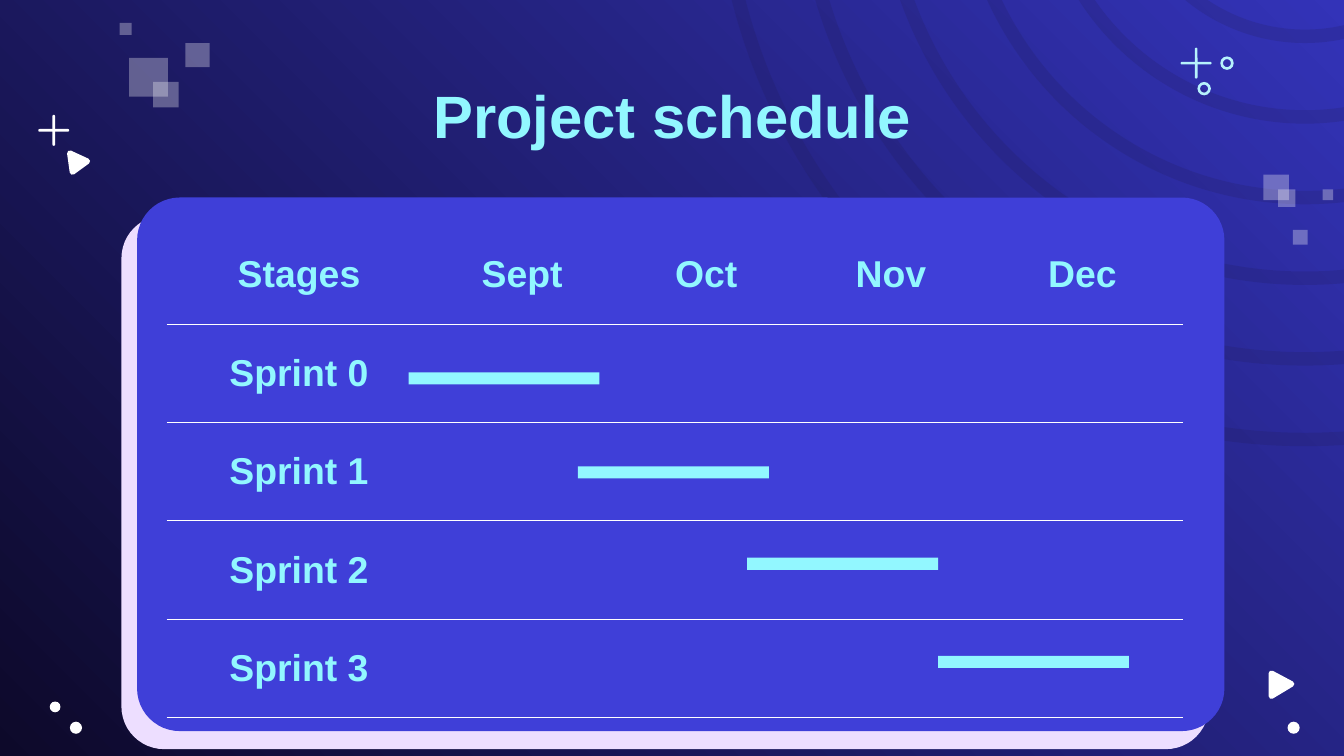
from lxml import etree
from pptx import Presentation
from pptx.dml.color import RGBColor
from pptx.enum import shapes, text
from pptx.oxml import ns
from pptx.util import Inches, Pt

AQUA, ICE, WHITE = "92F7FF", "B6F2FC", "FFFFFF"
NAVY, CARD, LILAC = "201A4A", "3F3FD8", "EDDEFF"
NO_GRID_STYLE = "{2D5ABB26-0587-4C30-8999-92F81FD0307C}"
Preset = shapes.MSO_SHAPE


def color(value):
    return RGBColor.from_string(value)


def child(parent, tag, **attributes):
    return etree.SubElement(parent, ns.qn(tag), {k: str(v) for k, v in attributes.items()})


def add_shape(page, preset, left, top, width, height, fill, opacity=100, adjust=None):
    shape = page.shapes.add_shape(
        preset, Inches(left), Inches(top), Inches(width), Inches(height))
    shape.shadow.inherit = False
    shape.line.fill.background()
    shape.fill.solid()
    shape.fill.fore_color.rgb = color(fill)
    if opacity < 100:
        child(shape._element.spPr.find(".//" + ns.qn("a:srgbClr")), "a:alpha",
              val=opacity * 1000)
    if adjust is not None:
        shape.adjustments[0] = adjust
    return shape


def add_ring(page, x, y, radius, band, fill, opacity=100):
    size = 2 * radius
    add_shape(page, Preset.DONUT, x - radius, y - radius, size, size, fill, opacity, band / size)


def add_plus(page, x, y, fill):
    length, thick = 0.23, 0.02
    for width, height in ((thick, length), (length, thick)):
        add_shape(page, Preset.ROUNDED_RECTANGLE, x - width / 2, y - height / 2,
                  width, height, fill, adjust=0.5)


def add_triangle(page, corners):
    # A thick outline with round joins softens the corners
    points = [(Inches(x), Inches(y)) for x, y in corners]
    builder = page.shapes.build_freeform(*points[0])
    builder.add_line_segments(points[1:], close=True)
    triangle = builder.convert_to_shape()
    triangle.shadow.inherit = False
    triangle.fill.solid()
    triangle.fill.fore_color.rgb = color(WHITE)
    triangle.line.color.rgb = color(WHITE)
    triangle.line.width = Pt(3)
    child(triangle.line._get_or_add_ln(), "a:round")


def write(frame, words, size, fill=AQUA, bold=True):
    para = frame.paragraphs[0]
    para.alignment = text.PP_ALIGN.CENTER
    span = para.add_run()
    span.text = words
    span.font.name = "Arial"
    span.font.size = Pt(size)
    span.font.bold = bold
    span.font.color.rgb = color(fill)


def add_background(page):
    fill = page.background.fill
    fill.gradient()
    fill.gradient_angle = 45
    for stop, value in zip(fill.gradient_stops, ("0D092A", "3333B8")):
        stop.color.rgb = color(value)


def add_decoration(page):
    # Concentric rings in the top right corner
    for step in range(6):
        add_ring(page, 9.71, -1.08, 4.4 - 0.6 * step, 0.1, NAVY, 17)
    # Small rings and plus signs
    for x, y in ((9.13, 0.47), (8.96, 0.66)):
        add_ring(page, x, y, 0.05, 0.02, ICE)
    add_plus(page, 8.9, 0.47, ICE)
    add_plus(page, 0.4, 0.97, WHITE)
    # Dots and triangles
    for left, top, size in ((9.58, 5.37, 0.09), (0.37, 5.22, 0.08), (0.52, 5.37, 0.09)):
        add_shape(page, Preset.OVAL, left, top, size, size, WHITE)
    add_triangle(page, ((9.46, 5.01), (9.46, 5.18), (9.61, 5.09)))
    add_triangle(page, ((0.52, 1.14), (0.54, 1.28), (0.65, 1.2)))
    # Translucent squares
    for left, top, size in (
            (0.96, 0.43, 0.29), (1.14, 0.61, 0.19), (1.38, 0.32, 0.18), (0.89, 0.17, 0.09),
            (9.4, 1.3, 0.19), (9.51, 1.41, 0.13), (9.84, 1.41, 0.08), (9.62, 1.71, 0.11)):
        add_shape(page, Preset.RECTANGLE, left, top, size, size, WHITE, 31)


def add_card(page):
    card = add_shape(page, Preset.ROUNDED_RECTANGLE, 1.02, 1.47, 8.09, 3.97, CARD, adjust=0.08)
    effects = card._element.spPr.find(ns.qn("a:effectLst"))
    shadow = child(effects, "a:outerShdw", blurRad=0, dist=Pt(12.8), dir=131 * 60000,
                   algn="bl", rotWithShape=0)
    child(shadow, "a:srgbClr", val=LILAC)


def add_title(page, words):
    title = page.shapes.title
    title.left, title.top = Inches(0.79), Inches(0.59)
    title.width, title.height = Inches(8.43), Inches(0.52)
    # Bring the title in front of the decoration
    page.shapes._spTree.append(title._element)
    frame = title.text_frame
    frame.word_wrap = True
    frame.auto_size = text.MSO_AUTO_SIZE.NONE
    frame.vertical_anchor = text.MSO_ANCHOR.MIDDLE
    frame.margin_left = frame.margin_right = Inches(0.1)
    frame.margin_top = frame.margin_bottom = Inches(0.1)
    write(frame, words, 32)


def underline(cell):
    border = etree.Element(ns.qn("a:lnB"), {"w": str(Pt(0.75))})
    child(child(border, "a:solidFill"), "a:srgbClr", val=WHITE)
    cell._tc.get_or_add_tcPr().insert(0, border)


def add_schedule(page, rows, widths, height):
    frame = page.shapes.add_table(
        len(rows), len(widths), Inches(1.24), Inches(1.68),
        Inches(sum(widths)), Inches(height))
    table = frame.table
    table.first_row = table.horz_banding = False
    frame._element.find(".//" + ns.qn("a:tableStyleId")).text = NO_GRID_STYLE
    for column, width in zip(table.columns, widths):
        column.width = Inches(width)
    for row, labels in zip(table.rows, rows):
        row.height = Inches(height / len(rows))
        for index, cell in enumerate(row.cells):
            cell.fill.background()
            cell.vertical_anchor = text.MSO_ANCHOR.MIDDLE
            cell.margin_left = cell.margin_right = Inches(0.1)
            cell.margin_top = cell.margin_bottom = Inches(0.1)
            underline(cell)
            if index < len(labels):
                write(cell.text_frame, labels[index], 20)


def main():
    deck = Presentation()
    deck.slide_width = Inches(10)
    deck.slide_height = deck.slide_width * 9 // 16
    page = deck.slides.add_slide(deck.slide_layouts[5])

    add_background(page)
    add_decoration(page)
    add_card(page)
    add_title(page, "Project schedule")

    # Stages against months
    header = ["Stages", "Sept", "Oct", "Nov", "Dec"]
    sprints = [[f"Sprint {number}"] for number in range(4)]
    add_schedule(page, [header] + sprints, (1.97, 1.35, 1.39, 1.36, 1.49), 3.66)

    # Sprint bars
    for left, top in ((3.04, 2.77), (4.3, 3.47), (5.56, 4.15), (6.98, 4.88)):
        add_shape(page, Preset.ROUNDED_RECTANGLE, left, top, 1.42, 0.09, AQUA, adjust=0)

    deck.save("out.pptx")


if __name__ == "__main__":
    main()
